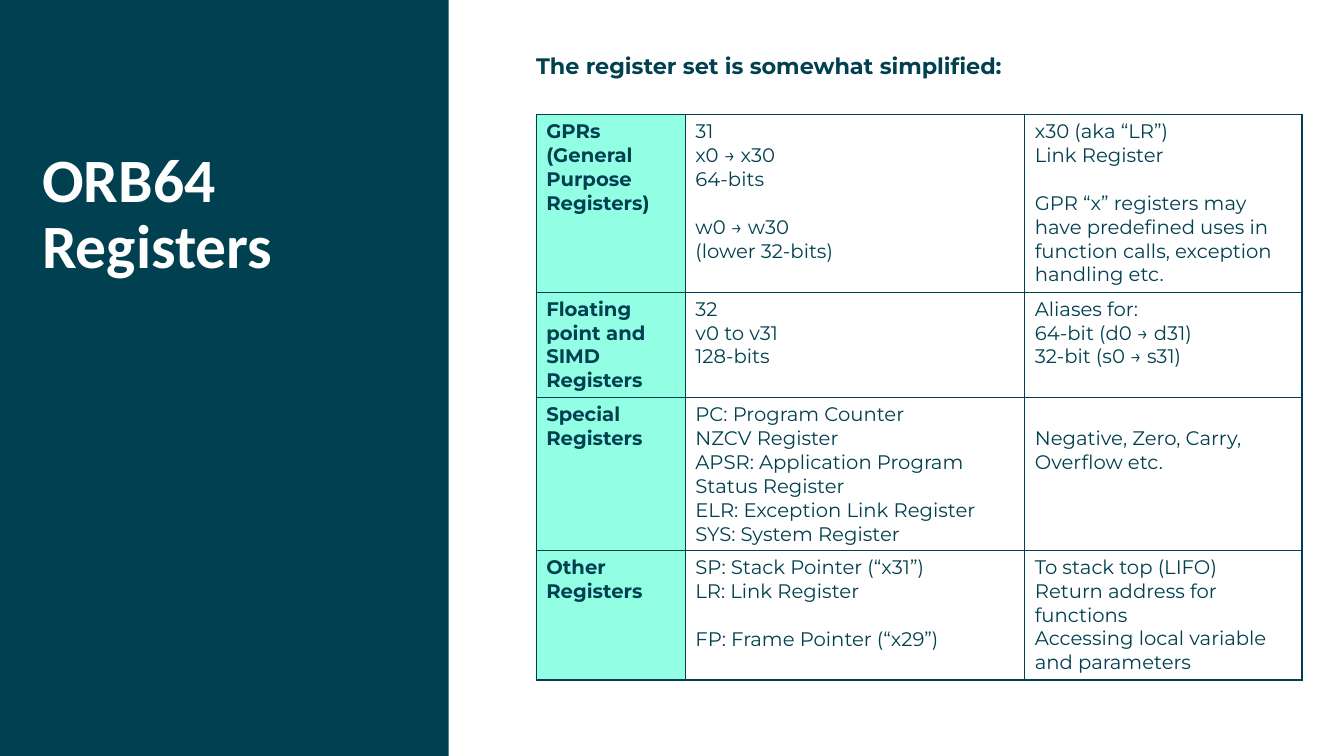
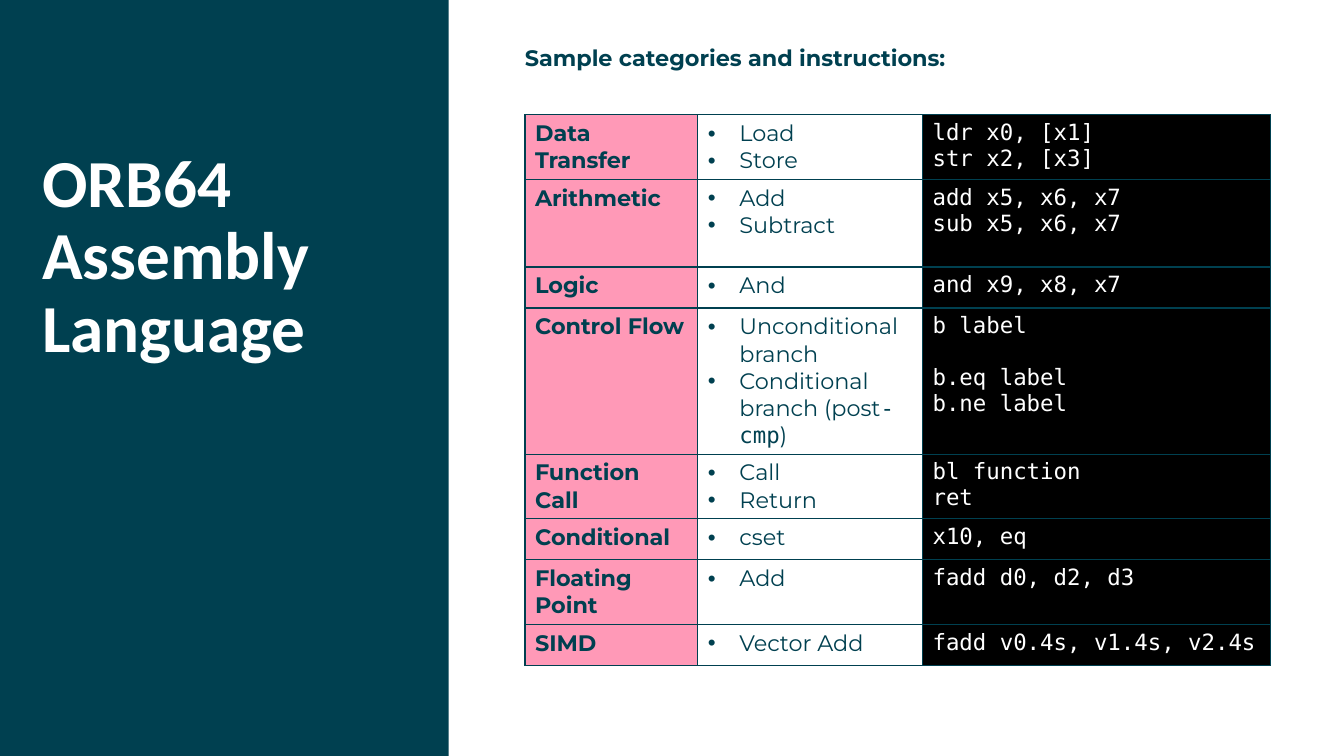
"""Build two slides on ORB64 registers and assembly language."""
from lxml.etree import SubElement
from pptx import Presentation
from pptx.dml.color import RGBColor
from pptx.enum.shapes import MSO_SHAPE
from pptx.oxml import parse_xml
from pptx.oxml.ns import nsdecls, qn
from pptx.util import Pt

TEAL, WHITE, BLACK, MINT, PINK = "004050", "FFFFFF", "000000", "92FFE5", "FF99B7"
TITLE_FONT, BODY_FONT, CODE_FONT = "Calibri", "Montserrat", "DejaVu Sans Mono"
LINE_HEIGHT = {BODY_FONT: 1.22, CODE_FONT: 1.16}
CELL_TOP = 3.6

REGISTERS = [
    (126.7, ["GPRs", "(General Purpose Registers)"],
     ["31", "x0 → x30", "64-bits", "", "w0 → w30", "(lower 32-bits)"],
     ["x30 (aka “LR”)", "Link Register", "",
      "GPR “x” registers may have predefined uses in function calls, exception handling etc."]),
    (75.5, ["Floating point and SIMD Registers"],
     ["32", "v0 to v31", "128-bits"],
     ["Aliases for:", "64-bit (d0 → d31)", "32-bit (s0 → s31)"]),
    (109, ["Special Registers"],
     ["PC: Program Counter", "NZCV Register", "APSR: Application Program Status Register",
      "ELR: Exception Link Register", "SYS: System Register"],
     ["", "Negative, Zero, Carry, Overflow etc."]),
    (92.6, ["Other Registers"],
     ["SP: Stack Pointer (“x31”)", "LR: Link Register", "", "FP: Frame Pointer (“x29”)"],
     ["To stack top (LIFO)", "Return address for functions",
      "Accessing local variable and parameters"]),
]
INSTRUCTIONS = [
    (46.2, ["Data Transfer"], ["Load", "Store"], ["ldr x0, [x1]", "str x2, [x3]"]),
    (62.6, ["Arithmetic"], ["Add", "Subtract"], ["add x5, x6, x7", "sub x5, x6, x7"]),
    (29.3, ["Logic"], ["And"], ["and x9, x8, x7"]),
    (104.4, ["Control Flow"], ["Unconditional branch", "Conditional branch (post`-cmp`)"],
     ["b label", "", "b.eq label", "b.ne label"]),
    (46.2, ["Function Call"], ["Call", "Return"], ["bl function", "ret"]),
    (29.3, ["Conditional"], ["cset"], ["x10, eq"]),
    (46.2, ["Floating Point"], ["Add"], ["fadd d0, d2, d3"]),
    (29.3, ["SIMD"], ["Vector Add"], ["fadd v0.4s, v1.4s, v2.4s"]),
]
REGISTER_COLUMNS = [
    {"width": 106.5, "fill": MINT, "bold": True},
    {"width": 242.5},
    {"width": 198},
]
INSTRUCTION_COLUMNS = [
    {"width": 123.5, "fill": PINK, "bold": True},
    {"width": 160.5, "bullet": True},
    {"width": 248.5, "fill": BLACK, "font": CODE_FONT, "color": WHITE},
]
PAGES = [
    ("ORB64 Registers", 44, "The register set is somewhat simplified:",
     383, 37.5, 14, REGISTER_COLUMNS, REGISTERS),
    ("ORB64 Assembly Language", 48, "Sample categories and instructions:",
     375, 31.5, 16, INSTRUCTION_COLUMNS, INSTRUCTIONS),
]


def paint(target, color):
    """Give a fill or a font a solid hex colour."""
    if hasattr(target, "solid"):
        target.solid()
        target = target.fore_color
    else:
        target = target.color
    target.rgb = RGBColor.from_string(color)


def style(span, size, font, color, bold):
    """Format one run."""
    span.font.size = Pt(size)
    span.font.name = font
    span.font.bold = bold
    paint(span.font, color)


deck = Presentation()
deck.slide_width, deck.slide_height = Pt(960), Pt(540)

for title, title_size, heading, left, heading_top, size, columns, rows in PAGES:
    page = deck.slides.add_slide(deck.slide_layouts[6])
    band = page.shapes.add_shape(MSO_SHAPE.RECTANGLE, 0, 0, Pt(320.4), Pt(540))
    band.shadow.inherit = False
    paint(band.fill, TEAL)
    band.line.fill.background()

    for text, place, text_size, font, color, spacing in [
        (title, (30.2, 106.6, 271.4, 216.7), title_size, TITLE_FONT, WHITE, 0.9),
        (heading, (left, heading_top, 540, 30), 16, BODY_FONT, TEAL, 1.0),
    ]:
        box = page.shapes.add_textbox(*[Pt(length) for length in place])
        frame = box.text_frame
        frame.word_wrap = True
        frame.margin_left = frame.margin_top = frame.margin_right = frame.margin_bottom = 0
        frame.text = text
        para = frame.paragraphs[0]
        para.line_spacing = spacing
        style(para.runs[0], text_size, font, color, True)

    table = page.shapes.add_table(
        len(rows), len(columns), Pt(left), Pt(82),
        Pt(sum(column["width"] for column in columns)), Pt(sum(row[0] for row in rows)),
    ).table
    table.first_row = table.horz_banding = False
    for index, column in enumerate(columns):
        table.columns[index].width = Pt(column["width"])

    for row_index, (height, *texts) in enumerate(rows):
        table.rows[row_index].height = Pt(height)
        for column_index, (column, lines) in enumerate(zip(columns, texts)):
            cell = table.cell(row_index, column_index)
            properties = cell._tc.get_or_add_tcPr()
            for side in ("lnL", "lnR", "lnT", "lnB"):
                properties.append(parse_xml(
                    f'<a:{side} {nsdecls("a")} w="{Pt(1)}"><a:solidFill>'
                    f'<a:srgbClr val="{TEAL}"/></a:solidFill></a:{side}>'))
            if "fill" in column:
                paint(cell.fill, column["fill"])
            else:
                cell.fill.background()

            font = column.get("font", BODY_FONT)
            gap = 0
            para = None
            for line in lines:
                if not line:
                    gap = size * LINE_HEIGHT[font]
                    continue
                if para is None:
                    para = cell.text_frame.paragraphs[0]
                    cell.margin_top = Pt(CELL_TOP + gap)
                else:
                    para = cell.text_frame.add_paragraph()
                    para.space_before = Pt(gap)
                gap = 0
                if column.get("bullet"):
                    bullet = para._p.get_or_add_pPr()
                    bullet.set("marL", str(Pt(22.5)))
                    bullet.set("indent", str(-Pt(22.5)))
                    SubElement(bullet, qn("a:buFont")).set("typeface", "Arial")
                    SubElement(bullet, qn("a:buChar")).set("char", "•")
                for part_index, part in enumerate(line.split("`")):
                    span = para.add_run()
                    span.text = part
                    style(span, size, CODE_FONT if part_index % 2 else font,
                          column.get("color", TEAL), column.get("bold", False))

deck.save("out.pptx")
